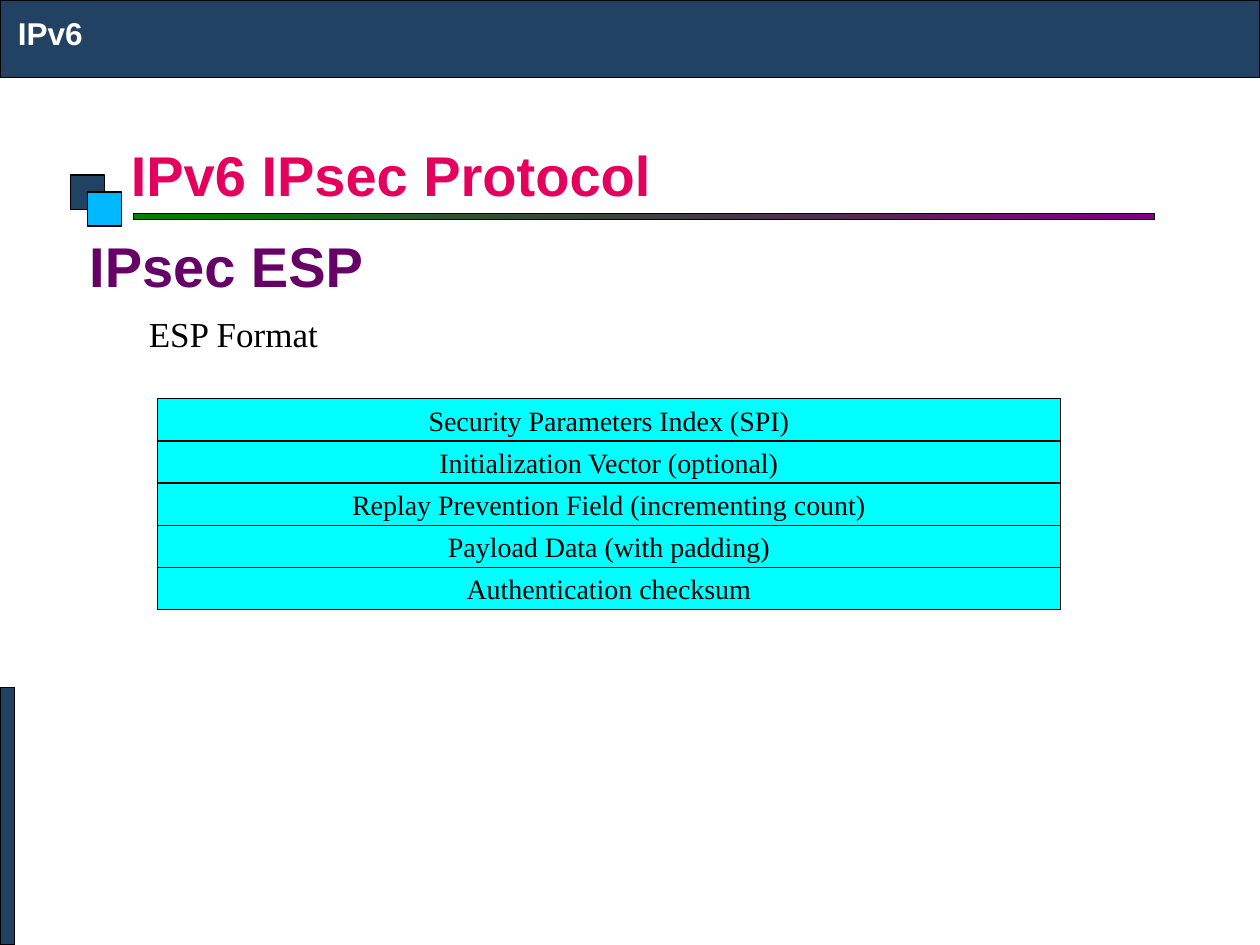
"""Build the IPv6 IPsec ESP format slide."""
from pptx import Presentation
from pptx.dml.color import RGBColor
from pptx.enum.shapes import MSO_SHAPE
from pptx.enum.text import MSO_ANCHOR, PP_ALIGN
from pptx.util import Cm, Pt

COLORS = {
    "navy": "214263", "sky": "00B8FF", "cyan": "00FFFF", "black": "000000",
    "white": "FFFFFF", "pink": "E4005C", "plum": "660066",
    "green": "008000", "purple": "800080",
}

prs = Presentation()
prs.slide_width, prs.slide_height = Cm(25.4), Cm(19.05)
slide = prs.slides.add_slide(prs.slide_layouts[6])


def color(name):
    return RGBColor.from_string(COLORS[name])


def add_box(left, top, width, height, fill):
    box = slide.shapes.add_shape(
        MSO_SHAPE.RECTANGLE, Cm(left), Cm(top), Cm(width), Cm(height))
    box.shadow.inherit = False
    box.fill.solid()
    box.fill.fore_color.rgb = color(fill)
    box.line.color.rgb = color("black")
    box.line.width = Pt(0.75)
    return box


add_box(0, 0, 25.4, 1.57, "navy")
add_box(1.42, 3.53, 0.69, 0.69, "navy")
add_box(1.76, 3.87, 0.69, 0.69, "sky")
add_box(0, 13.86, 0.3, 5.19, "navy")

title_rule = add_box(2.69, 4.31, 20.58, 0.11, "green")
title_rule.fill.gradient()
title_rule.fill.gradient_angle = 0
for stop, name in zip(title_rule.fill.gradient_stops, ("green", "purple")):
    stop.color.rgb = color(name)

headings = [
    ("IPv6 IPsec Protocol", 2.64, 1.92, 22.76, 3.2, 32, "Arial", "pink", MSO_ANCHOR.MIDDLE),
    ("IPv6", 0.36, 0.28, 16.15, 0.74, 18, "Arial", "white", MSO_ANCHOR.TOP),
    ("IPsec ESP", 1.8, 4.67, 21.29, 1.3, 32, "Arial", "plum", MSO_ANCHOR.TOP),
    ("ESP Format", 3, 6.3, 8.84, 0.9, 20, "Times New Roman", "black", MSO_ANCHOR.TOP),
]
for text, left, top, width, height, size, face, ink, anchor in headings:
    heading = slide.shapes.add_textbox(Cm(left), Cm(top), Cm(width), Cm(height)).text_frame
    heading.word_wrap = True
    heading.vertical_anchor = anchor
    heading.margin_left = heading.margin_right = 0
    heading.margin_top = heading.margin_bottom = 0
    line = heading.paragraphs[0]
    line.text = text
    line.font.size = Pt(size)
    line.font.name = face
    line.font.bold = face == "Arial"
    line.font.color.rgb = color(ink)

esp_fields = [
    "Security Parameters Index (SPI)",
    "Initialization Vector (optional)",
    "Replay Prevention Field (incrementing count)",
    "Payload Data (with padding)",
    "Authentication checksum",
]
first_top, row_height = 8.04, 0.85
for row, field in enumerate(esp_fields):
    field_row = add_box(3.17, first_top + row * row_height, 18.21, row_height, "cyan")
    frame = field_row.text_frame
    frame.word_wrap = False
    frame.vertical_anchor = MSO_ANCHOR.MIDDLE
    label = frame.paragraphs[0]
    label.text = field
    label.alignment = PP_ALIGN.CENTER
    label.font.size = Pt(16)
    label.font.name = "Times New Roman"
    label.font.color.rgb = color("black")

prs.save("out.pptx")
